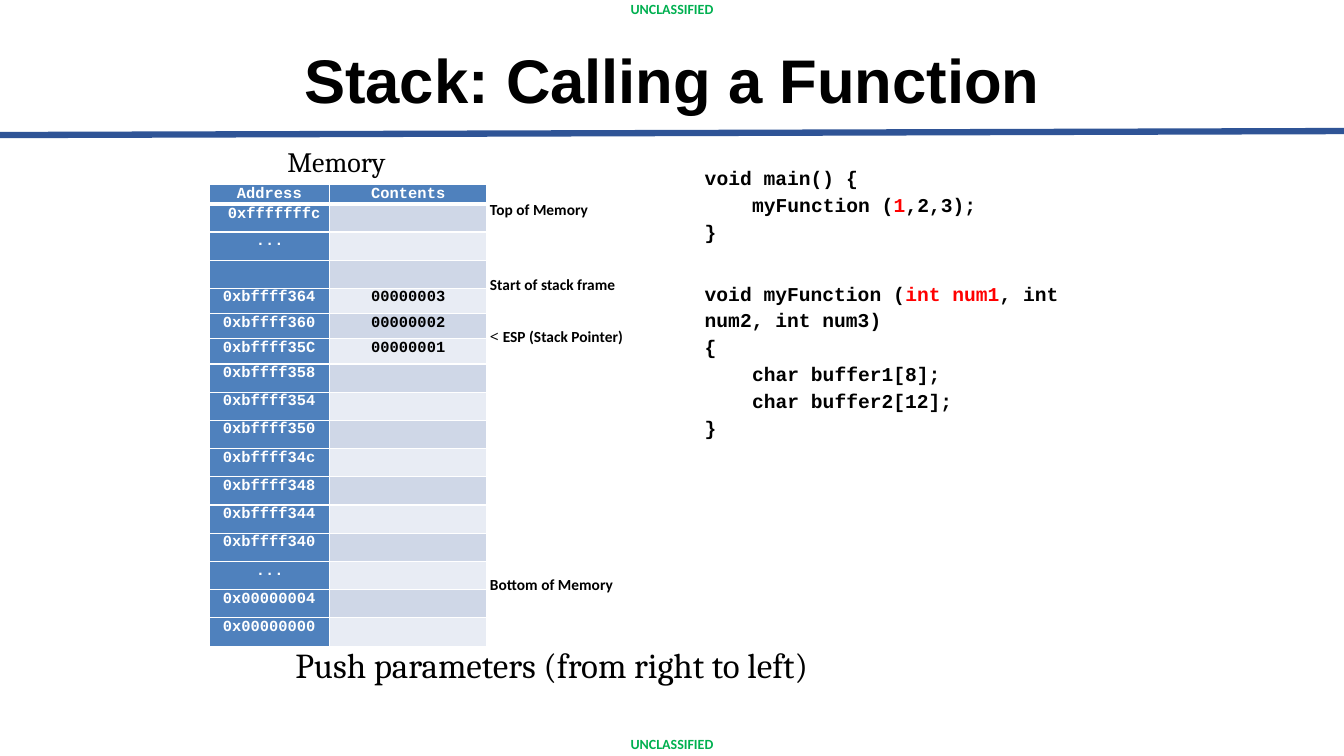
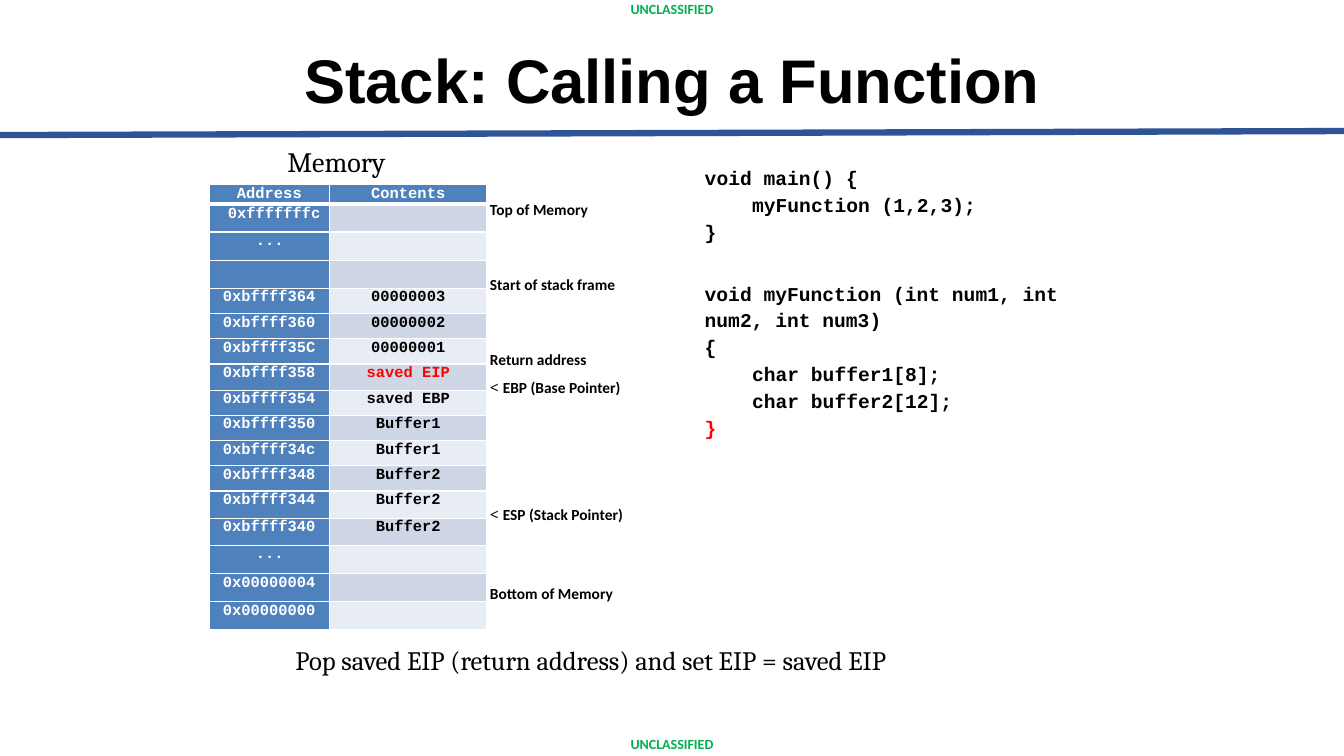
from dataclasses import dataclass, field, replace

from lxml.etree import SubElement
from pptx import Presentation
from pptx.dml.color import RGBColor
from pptx.enum.shapes import MSO_CONNECTOR
from pptx.enum.text import MSO_ANCHOR, MSO_AUTO_SIZE, PP_ALIGN
from pptx.oxml.ns import qn
from pptx.slide import Slide
from pptx.table import _Cell as Cell
from pptx.text.text import TextFrame
from pptx.util import Inches, Pt


@dataclass(frozen=True)
class Style:
    font: str
    size: float
    colour: str = "000000"
    bold: bool = False


@dataclass(frozen=True)
class Theme:
    rule: str = "2F5496"
    header: str = "4F81BD"
    bands: tuple[str, str] = ("E8ECF4", "CFD7E7")
    border: str = "FFFFFF"
    title: Style = Style("Arial", 44, bold=True)
    marking: Style = Style("Calibri", 10, "00B050", True)
    memory: Style = Style("Cambria", 20)
    label: Style = Style("Calibri", 11, bold=True)
    pointer: Style = Style("Noto Sans", 11)
    address: Style = Style("Courier New", 11, "FFFFFF", True)
    content: Style = Style("Courier New", 11, bold=True)
    code: Style = Style("Courier New", 14, bold=True)
    highlight: str = "FF0000"


THEME = Theme()
HOT_CODE = replace(THEME.code, colour=THEME.highlight)
HOT_CONTENT = replace(THEME.content, colour=THEME.highlight)


@dataclass(frozen=True)
class Run:
    text: str
    style: Style


@dataclass(frozen=True)
class Para:
    runs: list[Run]
    indent: float = 0.01
    right: float = 0
    before: float = 0
    spacing: float | None = None
    align: PP_ALIGN = PP_ALIGN.LEFT


@dataclass(frozen=True)
class Box:
    left: float
    top: float
    width: float
    height: float


@dataclass(frozen=True)
class Label:
    box: Box
    paras: list[Para]
    inset: float = 0.01


@dataclass(frozen=True)
class Word:
    """One row of memory."""
    address: str
    content: str = ""
    height: float = 0.25
    hot: bool = False


@dataclass(frozen=True)
class Step:
    """What one slide shows of the function call."""
    words: list[Word]
    labels: list[Label]
    caption: str
    caption_size: float
    caption_box: Box
    hot_argument: bool = False
    hot_return: bool = False
    title: str = field(default="Stack: Calling a Function")


def write(frame: TextFrame, paras: list[Para]) -> None:
    for index, para in enumerate(paras):
        paragraph = frame.add_paragraph() if index else frame.paragraphs[0]
        paragraph.alignment = para.align
        if para.spacing:
            paragraph.line_spacing = para.spacing
        if para.before:
            paragraph.space_before = Pt(para.before)
        properties = paragraph._p.get_or_add_pPr()
        properties.set("marL", str(Inches(para.indent)))
        properties.set("marR", str(Inches(para.right)))
        properties.set("indent", "0")
        for part in para.runs:
            run = paragraph.add_run()
            run.text = part.text
            run.font.name = part.style.font
            run.font.size = Pt(part.style.size)
            run.font.bold = part.style.bold
            run.font.color.rgb = RGBColor.from_string(part.style.colour)


def add_text(slide: Slide, box: Box, paras: list[Para], inset: float = 0.01) -> None:
    """Add a box that grows with its text and has only a top inset."""
    frame = slide.shapes.add_textbox(
        Inches(box.left), Inches(box.top), Inches(box.width), Inches(box.height)).text_frame
    frame.word_wrap = True
    frame.auto_size = MSO_AUTO_SIZE.SHAPE_TO_FIT_TEXT
    frame.margin_left = frame.margin_right = frame.margin_bottom = 0
    frame.margin_top = Inches(inset)
    write(frame, paras)


def add_centred(slide: Slide, box: Box, text: str, style: Style) -> None:
    frame = slide.shapes.add_textbox(
        Inches(box.left), Inches(box.top), Inches(box.width), Inches(box.height)).text_frame
    frame.word_wrap = True
    frame.vertical_anchor = MSO_ANCHOR.MIDDLE
    write(frame, [Para([Run(text, style)], indent=0, spacing=0.9, align=PP_ALIGN.CENTER)])


def add_frame(slide: Slide, title: str) -> None:
    """Draw the rule, the two markings and the title."""
    rule = slide.shapes.add_connector(
        MSO_CONNECTOR.STRAIGHT, Inches(0), Inches(1.34), Inches(13.33), Inches(1.3))
    rule.line.color.rgb = RGBColor.from_string(THEME.rule)
    rule.line.width = Pt(4.5)
    SubElement(rule._element.spPr, qn("a:effectLst"))
    for top in (0.03, 7.33):
        add_centred(slide, Box(0, top, 13.33, 0.13), "UNCLASSIFIED", THEME.marking)
    add_centred(slide, Box(0.92, 0.34, 11.5, 0.97), title, THEME.title)


def paint_cell(cell: Cell, fill: str, top: float, bottom: float) -> None:
    """Set the insets, the borders (widths in points) and the fill."""
    cell.margin_left = cell.margin_right = cell.margin_top = cell.margin_bottom = 0
    properties = cell._tc.get_or_add_tcPr()
    for side, width in (("L", 1), ("R", 1), ("T", top), ("B", bottom)):
        line = SubElement(properties, qn(f"a:ln{side}"), w=str(Pt(width)))
        SubElement(SubElement(line, qn("a:solidFill")), qn("a:srgbClr"), val=THEME.border)
    cell.fill.solid()
    cell.fill.fore_color.rgb = RGBColor.from_string(fill)


def fill_cell(cell: Cell, text: str, style: Style, indent: float | None = None,
              spacing: float = 1.04) -> None:
    """Write the text, centred unless an indent is given."""
    if not text:
        SubElement(cell.text_frame.paragraphs[0]._p, qn("a:endParaRPr"),
                   sz=str(int(style.size * 100)))
        return
    align = PP_ALIGN.CENTER if indent is None else PP_ALIGN.LEFT
    write(cell.text_frame, [Para([Run(text, style)], indent or 0, spacing=spacing, align=align)])


def add_memory(slide: Slide, words: list[Word]) -> None:
    rows = [Word("Address", "Contents", 0.19), *words]
    widths = (1.19, 1.56)
    table = slide.shapes.add_table(
        len(rows), 2, Inches(2.08), Inches(1.83), Inches(sum(widths)),
        Inches(sum(word.height for word in rows))).table
    for column, width in zip(table.columns, widths):
        column.width = Inches(width)
    indents = {"Address": 0.27, "0xfffffffc": 0.18, "...": None}
    for index, word in enumerate(rows):
        table.rows[index].height = Inches(word.height)
        address, content = table.cell(index, 0), table.cell(index, 1)
        top, bottom = 3 if index == 1 else 1, 3 if index == 0 else 1
        paint_cell(address, THEME.header, top, bottom)
        paint_cell(content, THEME.bands[index % 2] if index else THEME.header, top, bottom)
        fill_cell(address, word.address, THEME.address, indents.get(word.address, 0.13),
                  1.13 if index == 1 else 1.04)
        style = HOT_CONTENT if word.hot else THEME.content if index else THEME.address
        fill_cell(content, word.content, style)


def add_code(slide: Slide, hot_argument: bool, hot_return: bool) -> None:
    code = THEME.code
    argument = HOT_CODE if hot_argument else code
    add_text(slide, Box(6.98, 1.6, 2.71, 0.83), [
        Para([Run("void main() {", code)]),
        Para([Run("myFunction (", code), Run("1", argument), Run(",2,3);", code)],
             indent=0.48, before=2.5),
        Para([Run("}", code)], before=2.5),
    ], inset=0.05)
    add_text(slide, Box(6.98, 2.73, 4.23, 1.65), [
        Para([Run("void myFunction (", code), Run("int num1", argument),
              Run(", int num2, int num3)", code)], right=0.3, spacing=1.14),
        Para([Run("{", code)], before=2.1),
        Para([Run("char buffer1[8];", code)], indent=0.48, spacing=1.15),
        Para([Run("char buffer2[12];", code)], indent=0.48, spacing=1.15),
        Para([Run("}", HOT_CODE if hot_return else code)], before=2.5),
    ], inset=0.03)


def plain(text: str) -> Para:
    return Para([Run(text, THEME.label)])


def pointer(text: str, before: float = 0) -> Para:
    return Para([Run("< ", THEME.pointer), Run(text, THEME.label)], before=before)


def label(top: float, width: float, para: Para) -> Label:
    return Label(Box(4.85, top, width, 0.2), [para])


def build_step(slide: Slide, step: Step) -> None:
    add_frame(slide, step.title)
    add_memory(slide, step.words)
    for note in step.labels:
        add_text(slide, note.box, note.paras, note.inset)
    caption = replace(THEME.memory, size=step.caption_size)
    add_text(slide, step.caption_box, [Para([Run(step.caption, caption)])])
    add_code(slide, step.hot_argument, step.hot_return)
    add_text(slide, Box(2.84, 1.42, 1.06, 0.35), [Para([Run("Memory", THEME.memory)])])


EMPTY = 0.28
STACK_TOP = [
    Word("0xfffffffc", height=EMPTY),
    Word("...", height=EMPTY),
    Word("", height=EMPTY),
    Word("0xbffff364", "00000003"),
    Word("0xbffff360", "00000002"),
    Word("0xbffff35C", "00000001"),
]
LOCALS = [
    Word("0xbffff358", "saved EIP", 0.26, hot=True),
    Word("0xbffff354", "saved EBP"),
    Word("0xbffff350", "Buffer1"),
    Word("0xbffff34c", "Buffer1"),
    Word("0xbffff348", "Buffer2"),
    Word("0xbffff344", "Buffer2", 0.27),
    Word("0xbffff340", "Buffer2", 0.27),
]
UNUSED = [Word(word.address, height=EMPTY) for word in LOCALS]
BOTTOM = [Word(address, height=EMPTY) for address in ("...", "0x00000004", "0x00000000")]
TOP_LABELS = [label(1.98, 1, plain("Top of Memory")),
              label(2.72, 1.27, plain("Start of stack frame"))]

STEPS = [
    Step(
        words=STACK_TOP + UNUSED + BOTTOM,
        labels=TOP_LABELS + [label(3.24, 1.37, pointer("ESP (Stack Pointer)")),
                             label(5.7, 1.25, plain("Bottom of Memory"))],
        caption="Push parameters (from right to left)",
        caption_size=25,
        caption_box=Box(2.92, 6.37, 5.8, 0.43),
        hot_argument=True,
    ),
    Step(
        words=STACK_TOP + LOCALS + BOTTOM,
        labels=TOP_LABELS + [
            Label(Box(4.85, 3.36, 1.34, 0.59),
                  [plain("Return address"), pointer("EBP (Base Pointer)", before=7.2)], 0.11),
            label(5, 1.37, pointer("ESP (Stack Pointer)")),
            label(5.79, 1.25, plain("Bottom of Memory"))],
        caption="Pop saved EIP (return address) and set EIP = saved EIP",
        caption_size=19,
        caption_box=Box(2.92, 6.38, 6.92, 0.33),
        hot_return=True,
    ),
]


def main() -> None:
    deck = Presentation()
    deck.slide_width, deck.slide_height = Inches(13.33), Inches(7.5)
    for step in STEPS:
        build_step(deck.slides.add_slide(deck.slide_layouts[6]), step)
    deck.save("out.pptx")


if __name__ == "__main__":
    main()
